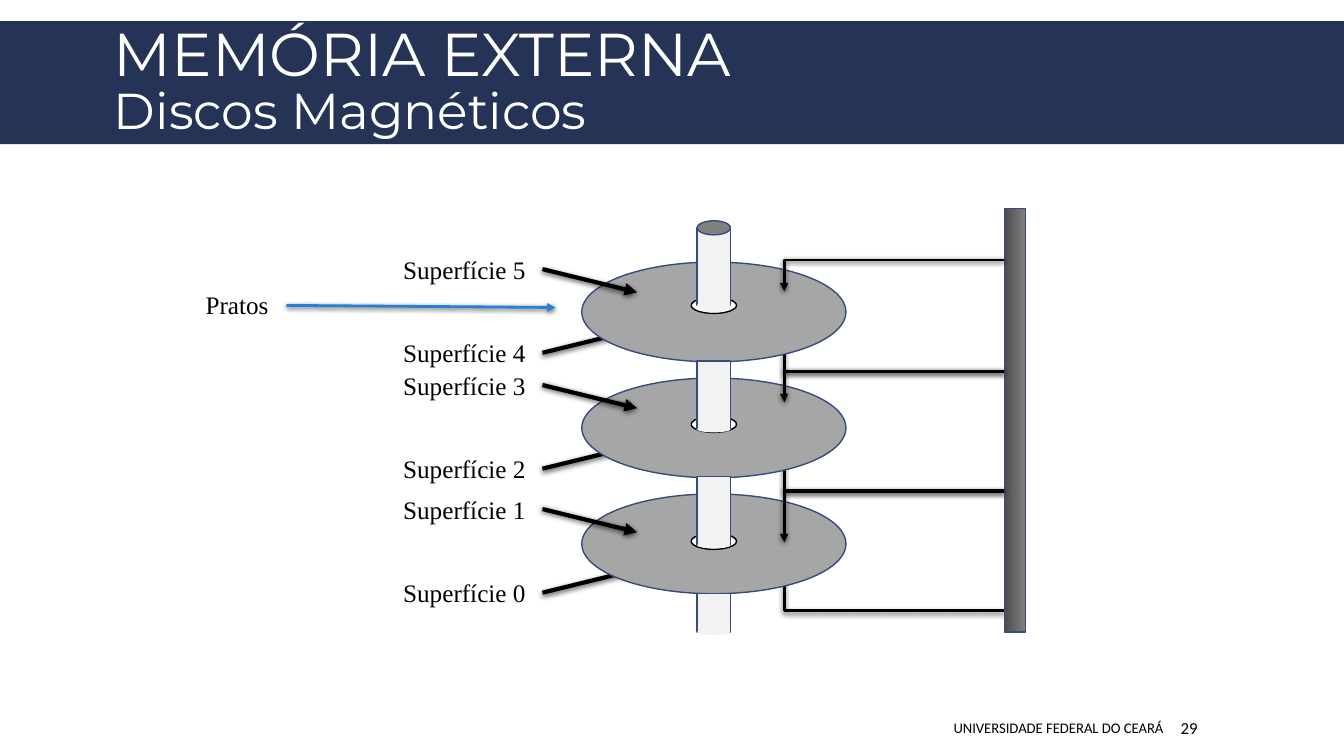
from dataclasses import dataclass

from lxml import etree
from pptx import Presentation
from pptx.dml.color import RGBColor
from pptx.enum.shapes import MSO_CONNECTOR, MSO_SHAPE
from pptx.enum.text import MSO_ANCHOR, MSO_AUTO_SIZE, PP_ALIGN
from pptx.oxml.ns import qn
from pptx.util import Inches, Pt

RECTANGLE, ELLIPSE = MSO_SHAPE.RECTANGLE, MSO_SHAPE.OVAL
STRAIGHT, ELBOW = MSO_CONNECTOR.STRAIGHT, MSO_CONNECTOR.ELBOW
LEFT, RIGHT = PP_ALIGN.LEFT, PP_ALIGN.RIGHT
TOP, MIDDLE = MSO_ANCHOR.TOP, MSO_ANCHOR.MIDDLE
TITLE_ONLY = 5


@dataclass(frozen=True)
class Theme:
    navy: str = "253356"
    outline: str = "374B7F"
    blue: str = "297FD5"
    black: str = "000000"
    white: str = "FFFFFF"
    disk: str = "A6A6A6"
    shaft: str = "F2F2F2"
    shaft_top: str = "808080"
    bar: tuple = ("4C4C4C", "808080")
    title_font: str = "Montserrat"
    label_font: str = "Times New Roman"
    footer_font: str = "Calibri"
    title_size: float = 43.2
    subtitle_size: float = 36
    label_size: float = 18
    footer_size: float = 10.5
    number_size: float = 12


THEME = Theme()


def color(value):
    return RGBColor.from_string(value)


def add_block(slide, kind, left, top, width, height, fill, line=None):
    shape = slide.shapes.add_shape(
        kind, Inches(left), Inches(top), Inches(width), Inches(height))
    shape.shadow.inherit = False
    shape.fill.solid()
    shape.fill.fore_color.rgb = color(fill)
    if line:
        shape.line.color.rgb = color(line)
        shape.line.width = Pt(1)
    else:
        shape.line.fill.background()
    return shape


def add_arrow(slide, kind, start, end, width, line=THEME.black):
    """Arrow with a soft shadow; an elbow turns only above or below its end."""
    connector = slide.shapes.add_connector(
        kind, *(Inches(value) for value in (*start, *end)))
    connector.line.color.rgb = color(line)
    connector.line.width = Pt(width)
    etree.SubElement(connector.line._get_or_add_ln(), qn("a:tailEnd"), type="triangle")
    properties = connector._element.spPr
    effects = etree.SubElement(properties, qn("a:effectLst"))
    shadow = etree.SubElement(
        effects, qn("a:outerShdw"), blurRad=str(Pt(4)), dist=str(Pt(1.2)),
        dir="5400000", rotWithShape="0")
    shade = etree.SubElement(shadow, qn("a:srgbClr"), val=THEME.black)
    etree.SubElement(shade, qn("a:alpha"), val="68000")
    if kind == ELBOW:
        guides = properties.find(qn("a:prstGeom")).get_or_add_avLst()
        etree.SubElement(guides, qn("a:gd"), name="adj1", fmla="val 100100")


def add_text(slide, text, left, top, width, height, font, size,
             align=LEFT, anchor=TOP, wrap=False):
    box = slide.shapes.add_textbox(
        Inches(left), Inches(top), Inches(width), Inches(height))
    frame = box.text_frame
    frame.word_wrap = wrap
    frame.vertical_anchor = anchor
    paragraph = frame.paragraphs[0]
    paragraph.text = text
    paragraph.alignment = align
    paragraph.font.name = font
    paragraph.font.size = Pt(size)
    paragraph.font.color.rgb = color(THEME.black)
    return frame


def draw_title(slide, left, top, width, height):
    band = add_block(slide, RECTANGLE, left, top, width, height, THEME.navy)
    title = slide.shapes.title
    title._element.addprevious(band._element)
    title.left, title.top = Inches(left + 1.03), Inches(top + 0.04)
    title.width, title.height = Inches(width - 2), Inches(height - 0.06)
    frame = title.text_frame
    frame.auto_size = MSO_AUTO_SIZE.NONE
    frame.vertical_anchor = MIDDLE
    paragraph = frame.paragraphs[0]
    paragraph.alignment = LEFT
    paragraph.line_spacing = 0.85
    paragraph.font.name = THEME.title_font
    paragraph.font.size = Pt(THEME.title_size)
    paragraph.font.color.rgb = color(THEME.white)
    paragraph.add_run().text = "MEMÓRIA EXTERNA"
    paragraph.add_line_break()
    subtitle = paragraph.add_run()
    subtitle.text = "Discos Magnéticos"
    subtitle.font.size = Pt(THEME.subtitle_size)


def draw_footer(slide, left, top, height):
    add_text(slide, "UNIVERSIDADE FEDERAL DO CEARÁ", left, top, 5.52, height,
             THEME.footer_font, THEME.footer_size, RIGHT, MIDDLE, True)
    number = add_text(slide, "29", left + 5.54, top, 1.03, height,
                      THEME.footer_font, THEME.number_size, LEFT, MIDDLE, True)
    number.margin_left = Inches(0.05)


def draw_plate_label(slide, left, top):
    add_text(slide, "Pratos", left, top, 0.89, 0.4, THEME.label_font, THEME.label_size)
    add_arrow(slide, STRAIGHT, (left + 0.9, top + 0.21), (left + 3.57, top + 0.23),
              2, THEME.blue)


def draw_surfaces(slide, left, top, first_number, slope):
    """Labels of one face of every disk, each with an arrow of the given slope."""
    for index, offset in enumerate((0, 1.15, 2.38)):
        label_top = top + offset
        arrow_top = label_top + 0.2
        add_text(slide, f"Superfície {first_number - 2 * index}", left, label_top,
                 1.48, 0.4, THEME.label_font, THEME.label_size)
        add_arrow(slide, STRAIGHT, (left + 1.48, arrow_top),
                  (left + 2.42, arrow_top + slope), 3)


def draw_arms(slide, left, right, arms):
    for height, reach in arms:
        add_arrow(slide, ELBOW, (right, height), (left, height + reach), 2)


def draw_disk_stack(slide, left, top):
    disk_width, disk_height, pitch = 2.62, 0.99, 1.15
    hole_width, shaft_width = 0.45, 0.33
    center = left + disk_width / 2
    for index, hole_offset in enumerate((0.35, 0.38, 0.39)):
        disk_top = top + index * pitch
        add_block(slide, ELLIPSE, left, disk_top, disk_width, disk_height,
                  THEME.disk, THEME.outline)
        add_block(slide, ELLIPSE, center - hole_width / 2, disk_top + hole_offset,
                  hole_width, 0.16, THEME.white, THEME.black)

    shaft_left = center - shaft_width / 2
    segments = ((-0.34, 0.77, 0.14), (0.98, 0.68, 0.06),
                (2.13, 0.68, 0.06), (3.29, 0.38, 0.06))
    for offset, length, cap in segments:
        segment_top = top + offset
        add_block(slide, RECTANGLE, shaft_left, segment_top, shaft_width, length,
                  THEME.shaft, THEME.outline)
        add_block(slide, ELLIPSE, shaft_left, segment_top + length - cap / 2,
                  shaft_width, cap, THEME.shaft)
    add_block(slide, ELLIPSE, shaft_left, top - 0.41, shaft_width, 0.14,
              THEME.shaft_top, THEME.outline)


def draw_arm_bar(slide, left, top, width, height):
    bar = add_block(slide, RECTANGLE, left, top, width, height,
                    THEME.bar[0], THEME.outline)
    bar.fill.gradient()
    bar.fill.gradient_angle = 0
    for stop, shade in zip(bar.fill.gradient_stops, THEME.bar):
        stop.color.rgb = color(shade)


def draw_disk_slide(slide):
    draw_title(slide, 0, 0.21, 13.33, 1.22)
    draw_plate_label(slide, 1.94, 2.82)
    draw_surfaces(slide, 3.9, 3.3, 4, -0.23)
    draw_arms(slide, 7.78, 9.96, ((3.69, -0.3), (4.88, -0.52), (6.06, -0.44)))
    draw_disk_stack(slide, 5.77, 2.6)
    draw_arm_bar(slide, 9.96, 2.07, 0.21, 4.2)
    draw_arms(slide, 7.78, 9.96, ((2.58, 0.31), (3.68, 0.31), (4.87, 0.51)))
    draw_surfaces(slide, 3.9, 2.47, 5, 0.23)
    draw_footer(slide, 6.12, 7.02, 0.4)


def main():
    presentation = Presentation()
    presentation.slide_width = Inches(13.33)
    presentation.slide_height = Inches(7.5)
    draw_disk_slide(presentation.slides.add_slide(presentation.slide_layouts[TITLE_ONLY]))
    presentation.save("out.pptx")


if __name__ == "__main__":
    main()
